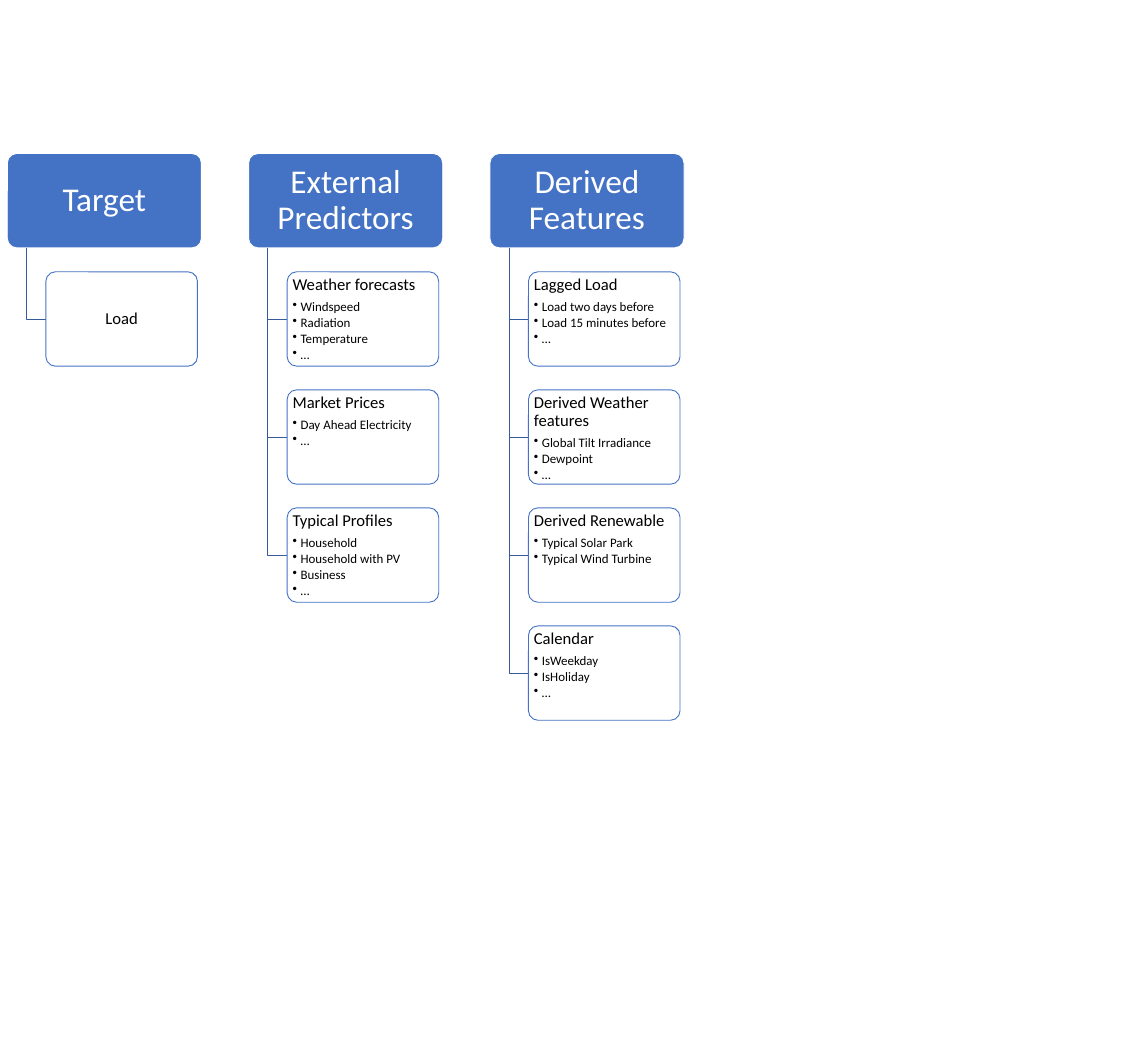
import pptx
import pptx.dml.color
import pptx.enum.shapes
import pptx.enum.text
import pptx.oxml.ns
import pptx.util
from lxml import etree
from pptx.util import Inches

BLUE, LINK_BLUE, WHITE, BLACK = "4472C4", "365B9D", "FFFFFF", "000000"
FONT = "Calibri"
HEADER_LEFT, HEADER_TOP, HEADER_WIDTH = 0.11, 2.31, 2.92
BOX_HEIGHT = 1.42
COLUMN_STEP = 3.63
ITEM_INDENT, ITEM_TOP, ITEM_WIDTH = 0.58, 4.09, 2.28
ITEM_STEP = 1.776
TRUNK_INDENT = 0.29

COLUMNS = [
    ("Target", [("Load", [])]),
    ("External Predictors", [
        ("Weather forecasts", ["Windspeed", "Radiation", "Temperature", "…"]),
        ("Market Prices", ["Day Ahead Electricity", "…"]),
        ("Typical Profiles", ["Household", "Household with PV", "Business", "…"]),
    ]),
    ("Derived Features", [
        ("Lagged Load", ["Load two days before", "Load 15 minutes before", "…"]),
        ("Derived Weather features", ["Global Tilt Irradiance", "Dewpoint", "…"]),
        ("Derived Renewable", ["Typical Solar Park", "Typical Wind Turbine"]),
        ("Calendar", ["IsWeekday", "IsHoliday", "…"]),
    ]),
]


def color(value):
    return pptx.dml.color.RGBColor.from_string(value)


def add_xml(parent, tag, **attributes):
    return etree.SubElement(parent, pptx.oxml.ns.qn(tag), attributes)


def add_box(slide, left, top, width, fill, line, inset_x, inset_y):
    box = slide.shapes.add_shape(
        pptx.enum.shapes.MSO_SHAPE.ROUNDED_RECTANGLE,
        Inches(left), Inches(top), Inches(width), Inches(BOX_HEIGHT))
    box.adjustments[0] = 0.1
    box.shadow.inherit = False
    box.fill.solid()
    box.fill.fore_color.rgb = color(fill)
    box.line.color.rgb = color(line)
    box.line.width = pptx.util.Pt(1)
    frame = box.text_frame
    frame.word_wrap = True
    frame.margin_left = frame.margin_right = Inches(inset_x)
    frame.margin_top = frame.margin_bottom = Inches(inset_y)
    frame.vertical_anchor = pptx.enum.text.MSO_ANCHOR.MIDDLE
    return box


def write(para, text, size, ink, centered, gap):
    align = pptx.enum.text.PP_ALIGN
    para.alignment = align.CENTER if centered else align.LEFT
    para.line_spacing = 0.9
    para.space_after = pptx.util.Pt(size * gap)
    span = para.add_run()
    span.text = text
    span.font.name = FONT
    span.font.size = pptx.util.Pt(size)
    span.font.color.rgb = color(ink)


def write_bullet(frame, text):
    para = frame.add_paragraph()
    para.level = 1
    write(para, text, 14, BLACK, False, 0.15)
    properties = para._p.get_or_add_pPr()
    properties.set("marL", str(Inches(0.12)))
    properties.set("indent", str(-Inches(0.12)))
    add_xml(properties, "a:buChar", char="•")


def add_header(slide, left, text):
    box = add_box(slide, left, HEADER_TOP, HEADER_WIDTH, BLUE, WHITE, 0.07, 0.05)
    write(box.text_frame.paragraphs[0], text, 36, WHITE, True, 0.35)


def add_link(slide, left, bottom, right):
    builder = slide.shapes.build_freeform(
        Inches(left), Inches(HEADER_TOP + BOX_HEIGHT), scale=1.0)
    builder.add_line_segments(
        [(Inches(left), Inches(bottom)), (Inches(right), Inches(bottom))], close=False)
    link = builder.convert_to_shape()
    link.shadow.inherit = False
    link.fill.background()
    link.line.color.rgb = color(LINK_BLUE)
    link.line.width = pptx.util.Pt(1)


def add_item(slide, left, top, heading, bullets):
    box = add_box(slide, left, top, ITEM_WIDTH, WHITE, BLUE, 0.04, 0.03)
    fill_color = box._element.spPr.find(
        pptx.oxml.ns.qn("a:solidFill")).find(pptx.oxml.ns.qn("a:srgbClr"))
    add_xml(fill_color, "a:alpha", val="90000")
    frame = box.text_frame
    if bullets:
        frame.vertical_anchor = pptx.enum.text.MSO_ANCHOR.TOP
    write(frame.paragraphs[0], heading, 18, BLACK, not bullets, 0.35)
    for bullet in bullets:
        write_bullet(frame, bullet)


def add_column(slide, left, title, items):
    add_header(slide, left, title)
    item_left = left + ITEM_INDENT
    for row, (heading, bullets) in enumerate(items):
        top = ITEM_TOP + row * ITEM_STEP
        add_link(slide, left + TRUNK_INDENT, top + BOX_HEIGHT / 2, item_left)
        add_item(slide, item_left, top, heading, bullets)


def main():
    deck = pptx.Presentation()
    deck.slide_width = Inches(17.27)
    deck.slide_height = Inches(15.77)
    page = deck.slides.add_slide(deck.slide_layouts[6])
    for index, (title, items) in enumerate(COLUMNS):
        add_column(page, HEADER_LEFT + index * COLUMN_STEP, title, items)
    deck.save("out.pptx")


if __name__ == "__main__":
    main()
